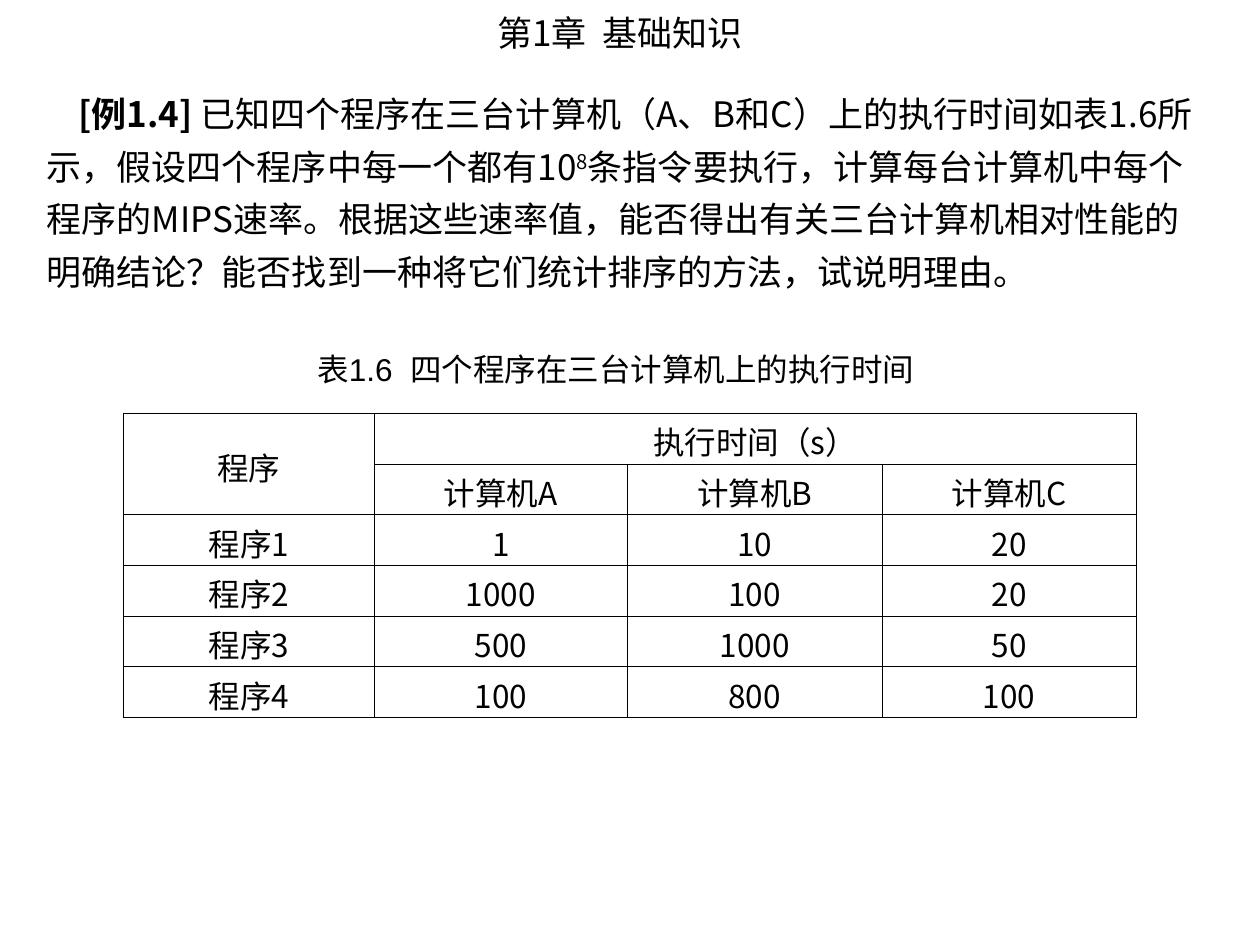
from pptx import Presentation
from pptx import util as u
from pptx.dml.color import RGBColor
from pptx.enum import text as t
from pptx.oxml.ns import qn
from lxml import etree

# Content
TITLE = "第1章  基础知识"
TASK = [  # text, style
    ("[例1.4] ", "bold"),
    ("已知四个程序在三台计算机（A、B和C）上的执行时间如表1.6所示，"
     "假设四个程序中每一个都有10", ""),
    ("8", "super"),
    ("条指令要执行，计算每台计算机中每个程序的MIPS速率。"
     "根据这些速率值，能否得出有关三台计算机相对性能的明确结论？"
     "能否找到一种将它们统计排序的方法，试说明理由。", ""),
]
CAPTION = "表1.6  四个程序在三台计算机上的执行时间"
ROWS = [
    ["程序", "执行时间（s）", "", ""],
    ["", "计算机A", "计算机B", "计算机C"],
    ["程序1", "1", "10", "20"],
    ["程序2", "1000", "100", "20"],
    ["程序3", "500", "1000", "50"],
    ["程序4", "100", "800", "100"],
]
COLS = [1.99, 2.01, 2.02, 2.02]
ROW_H = 0.4
INK = {"text": "000000", "line": "000000"}
SANS, LATIN = "Noto Sans CJK SC", "Arial"


def style(run, size, face=SANS, bold=False):
    font = run.font
    font.size, font.bold, font.name = u.Pt(size), bold, face
    font.color.rgb = RGBColor.from_string(INK["text"])
    etree.SubElement(run._r.get_or_add_rPr(), qn("a:ea"), typeface=SANS)


def place(shape, left, top, width, height):
    shape.left, shape.top = u.Inches(left), u.Inches(top)
    shape.width, shape.height = u.Inches(width), u.Inches(height)
    frame = shape.text_frame
    frame.auto_size = t.MSO_AUTO_SIZE.NONE
    frame.vertical_anchor = t.MSO_ANCHOR.MIDDLE
    return frame


def rule(cell, width=0.45):
    props = cell._tc.get_or_add_tcPr()
    for i, side in enumerate(("lnL", "lnR", "lnT", "lnB")):
        line = etree.Element(qn("a:" + side), w=str(u.Pt(width)))
        fill = etree.SubElement(line, qn("a:solidFill"))
        etree.SubElement(fill, qn("a:srgbClr"), val=INK["line"])
        props.insert(i, line)


def main():
    deck = Presentation()
    deck.slide_width, deck.slide_height = u.Inches(10), u.Inches(7.5)
    slide = deck.slides.add_slide(deck.slide_layouts[1])
    title, body = slide.placeholders

    # Chapter title
    frame = place(title, 0.67, 0, 8.5, 0.52)
    frame.text = TITLE
    frame.paragraphs[0].alignment = t.PP_ALIGN.CENTER
    style(frame.paragraphs[0].runs[0], 20)

    # Exercise text, without bullet and with an indented first line
    para = place(body, 0.27, 0.6, 9.45, 1.77).paragraphs[0]
    para.line_spacing, para.space_before = u.Pt(30), u.Pt(0)
    props = para._p.get_or_add_pPr()
    props.set("marL", "0")
    props.set("indent", str(u.Inches(0.25)))
    etree.SubElement(props, qn("a:buNone"))
    for words, kind in TASK:
        run = para.add_run()
        run.text = words
        style(run, 20, bold=kind == "bold")
        if kind == "super":
            run.font._element.set("baseline", "30000")

    # Table caption
    box = slide.shapes.add_textbox(0, 0, 0, 0)
    frame = place(box, 2.42, 2.73, 5.05, 0.4)
    frame.word_wrap = False
    frame.text = CAPTION
    style(frame.paragraphs[0].runs[0], 18, LATIN)

    # Table of run times
    table = slide.shapes.add_table(
        len(ROWS), len(COLS), u.Inches(0.98), u.Inches(3.28),
        u.Inches(sum(COLS)), u.Inches(ROW_H * len(ROWS))).table
    table.first_row = table.horz_banding = False
    for col, width in zip(table.columns, COLS):
        col.width = u.Inches(width)
    for r, row in enumerate(ROWS):
        table.rows[r].height = u.Inches(ROW_H)
        for c, words in enumerate(row):
            cell = table.cell(r, c)
            cell.fill.background()
            rule(cell)
            cell.vertical_anchor = t.MSO_ANCHOR.MIDDLE
            cell.margin_top, cell.margin_bottom = u.Inches(0.04), 0
            cell.text = words
            para = cell.text_frame.paragraphs[0]
            para.alignment = t.PP_ALIGN.CENTER
            for run in para.runs:
                style(run, 18)
    table.cell(0, 0).merge(table.cell(1, 0))
    table.cell(0, 1).merge(table.cell(0, 3))

    deck.save("out.pptx")


if __name__ == "__main__":
    main()
